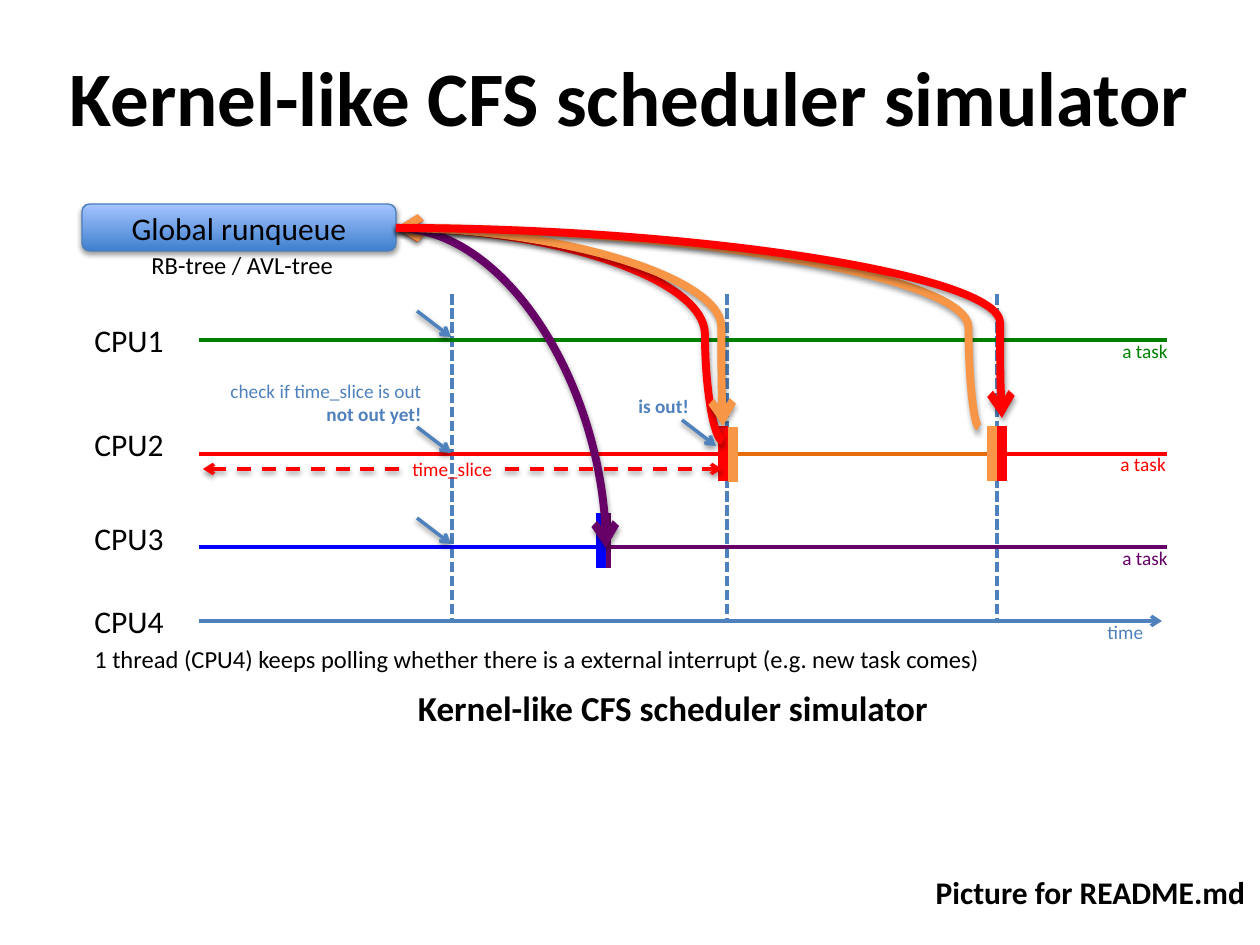
from dataclasses import dataclass

from lxml import etree
from pptx import Presentation
from pptx.dml.color import RGBColor
from pptx.enum.dml import MSO_LINE
from pptx.enum.shapes import MSO_CONNECTOR, MSO_SHAPE
from pptx.enum.text import MSO_ANCHOR, MSO_AUTO_SIZE, PP_ALIGN
from pptx.oxml import parse_xml
from pptx.oxml.ns import nsdecls, qn
from pptx.util import Pt

STRAIGHT, CURVE = MSO_CONNECTOR.STRAIGHT, MSO_CONNECTOR.CURVE
DASH, SYS_DASH = MSO_LINE.DASH, MSO_LINE.SQUARE_DOT
LEFT, CENTER, RIGHT = PP_ALIGN.LEFT, PP_ALIGN.CENTER, PP_ALIGN.RIGHT
ROUNDED_BOX, MIDDLE = MSO_SHAPE.ROUNDED_RECTANGLE, MSO_ANCHOR.MIDDLE
FIT_TEXT = MSO_AUTO_SIZE.SHAPE_TO_FIT_TEXT
EMU_PER_PIXEL = 914400 / 126


@dataclass
class Theme:
    font: str = "Calibri"
    black: str = "000000"
    blue: str = "4F81BD"
    red: str = "FF0000"
    orange: str = "F79646"
    dark_orange: str = "E46C0A"
    purple: str = "660066"
    green: str = "008000"
    pure_blue: str = "0000FF"
    box_line: str = "4B7EBC"
    box_bottom: str = "3F80CE"
    box_top: str = "A4C4FF"
    title: int = 44
    caption: int = 20
    label: int = 18
    note: int = 14
    small: int = 11
    thin: float = 2
    curve: float = 4.5
    bar: float = 6


theme = Theme()
presentation = Presentation()
presentation.slide_width, presentation.slide_height = 9144000, 6858000
slide = presentation.slides.add_slide(presentation.slide_layouts[6])
shapes = slide.shapes

SHADOW = (
    f'<a:effectLst {nsdecls("a")}><a:outerShdw blurRad="39370" dist="20320" dir="5400000" '
    'rotWithShape="0"><a:srgbClr val="000000"><a:alpha val="38000"/></a:srgbClr>'
    "</a:outerShdw></a:effectLst>"
)
NO_SHADOW = f'<a:effectLst {nsdecls("a")}/>'


def add_line(points, color, width=theme.thin, dash=None, arrow=False, shadow=False, kind=STRAIGHT):
    ends = [round(value * EMU_PER_PIXEL) for value in points]
    connector = shapes.add_connector(kind, *ends)
    connector.line.color.rgb = RGBColor.from_string(color)
    connector.line.width = Pt(width)
    if dash:
        connector.line.dash_style = dash
    if arrow:
        outline = connector._element.spPr.find(qn("a:ln"))
        etree.SubElement(outline, qn("a:tailEnd")).set("type", "arrow")
    connector._element.spPr.append(parse_xml(SHADOW if shadow else NO_SHADOW))
    return connector


def add_text(box, lines, size, color=theme.black, align=LEFT, wrap=False):
    """Each line is a (text, bold) pair."""
    text_box = shapes.add_textbox(*[round(value * EMU_PER_PIXEL) for value in box])
    frame = text_box.text_frame
    frame.word_wrap = wrap
    frame.auto_size = FIT_TEXT
    for index, (text, bold) in enumerate(lines):
        paragraph = frame.add_paragraph() if index else frame.paragraphs[0]
        paragraph.alignment = align
        run = paragraph.add_run()
        run.text = text
        run.font.name, run.font.size, run.font.bold = theme.font, Pt(size), bold
        run.font.color.rgb = RGBColor.from_string(color)


# Time axis and time slice marks
lane_left, lane_right, axis_y = 199, 1167, 621
slice_marks = (452, 727, 997)
cpu1_y, cpu2_y, cpu3_y = 340, 454, 547
add_line((lane_left, axis_y, 1162, axis_y), theme.blue, arrow=True)
for x in slice_marks:
    add_line((x, 294, x, axis_y), theme.blue, dash=SYS_DASH)

# Global runqueue
runqueue = shapes.add_shape(
    ROUNDED_BOX, *[round(value * EMU_PER_PIXEL) for value in (82, 204, 314, 47)]
)
runqueue.fill.gradient()
runqueue.fill.gradient_angle = 90
for position, color in enumerate((theme.box_bottom, theme.box_top)):
    stop = runqueue.fill.gradient_stops[position]
    stop.color.rgb = RGBColor.from_string(color)
    stop.position = position
runqueue.line.color.rgb = RGBColor.from_string(theme.box_line)
runqueue.line.width = Pt(0.75)
runqueue._element.spPr.append(parse_xml(SHADOW))
runqueue.text_frame.vertical_anchor = MIDDLE
paragraph = runqueue.text_frame.paragraphs[0]
paragraph.alignment = CENTER
run = paragraph.add_run()
run.text = "Global runqueue"
run.font.name, run.font.size = theme.font, Pt(theme.label)
run.font.color.rgb = RGBColor.from_string(theme.black)

# CPU labels
for number, top in enumerate((315, 419, 513, 596), start=1):
    add_text((82, top, 96, 50), [(f"CPU{number}", False)], theme.label)

# Task lanes
for left, right, y, color in (
    (727, 997, cpu2_y, theme.dark_orange),
    (lane_left, 727, cpu2_y, theme.red),
    (lane_left, 606, cpu3_y, theme.pure_blue),
    (997, lane_right, cpu2_y, theme.red),
    (606, lane_right, cpu3_y, theme.purple),
    (lane_left, lane_right, cpu1_y, theme.green),
):
    add_line((left, y, right, y), color)

# Task switch bars
for x, top, color in (
    (606, 513, theme.purple),
    (601, 513, theme.pure_blue),
    (723, 426, theme.red),
    (1002, 426, theme.red),
    (992, 426, theme.orange),
    (733, 427, theme.orange),
):
    add_line((x, top + 55, x, top), color, theme.bar)

# Moves between the runqueue and the CPUs; bend is a share of the width in 1/100000
queue_x, queue_y = 396, 228
for points, color, bend in (
    ((723, 441, queue_x, queue_y), theme.red, 5500),
    ((979, 427, queue_x, queue_y), theme.orange, 1800),
    ((queue_x, queue_y, 606, 548), theme.purple, None),
    ((queue_x, queue_y, 723, 426), theme.orange, 99500),
    ((queue_x, queue_y, 1002, 418), theme.red, 99700),
):
    connector = add_line(points, color, theme.curve, arrow=True, shadow=True, kind=CURVE)
    geometry = connector._element.spPr.find(qn("a:prstGeom"))
    if bend is None:
        geometry.set("prst", "curvedConnector2")
    else:
        guide = etree.SubElement(geometry.find(qn("a:avLst")), qn("a:gd"))
        guide.set("name", "adj1")
        guide.set("fmla", f"val {bend}")

# Time slice checks
for x, y in ((417, 311), (417, 427), (417, 518), (682, 420)):
    add_line((x, y, x + 34, y + 26), theme.blue, arrow=True, shadow=True)
add_text((212, 373, 222, 59), [("check if time_slice is out", False), ("not out yet!", True)],
         theme.small, theme.blue, RIGHT)
add_text((626, 388, 77, 37), [("is out!", True)], theme.small, theme.blue)

# Time slice span
add_text((400, 451, 106, 37), [("time_slice", False)], theme.small, theme.red)
for start, end in ((399, 203), (505, 722)):
    add_line((start, 469, end, 469), theme.red, dash=DASH, arrow=True, shadow=True)

# Lane captions
for left, top, width, text, color in (
    (1095, 614, 62, "time", theme.blue),
    (1110, 333, 72, "a task", theme.green),
    (1108, 446, 72, "a task", theme.red),
    (1110, 540, 72, "a task", theme.purple),
):
    add_text((left, top, width, 37), [(text, False)], theme.small, color)

# Notes
add_text((139, 244, 210, 43), [("RB-tree / AVL-tree", False)], theme.note)
add_text((82, 638, 920, 43),
         [("1 thread (CPU4) keeps polling whether there is a external interrupt "
           "(e.g. new task comes)", False)], theme.note)

# Titles
heading = [("Kernel-like CFS scheduler simulator", True)]
add_text((0, 43, 1260, 106), heading, theme.title, align=CENTER, wrap=True)
add_text((181, 680, 984, 55), heading, theme.caption, align=CENTER, wrap=True)
add_text((921, 867, 339, 50), [("Picture for README.md", True)], theme.label, align=CENTER)

presentation.save("out.pptx")
